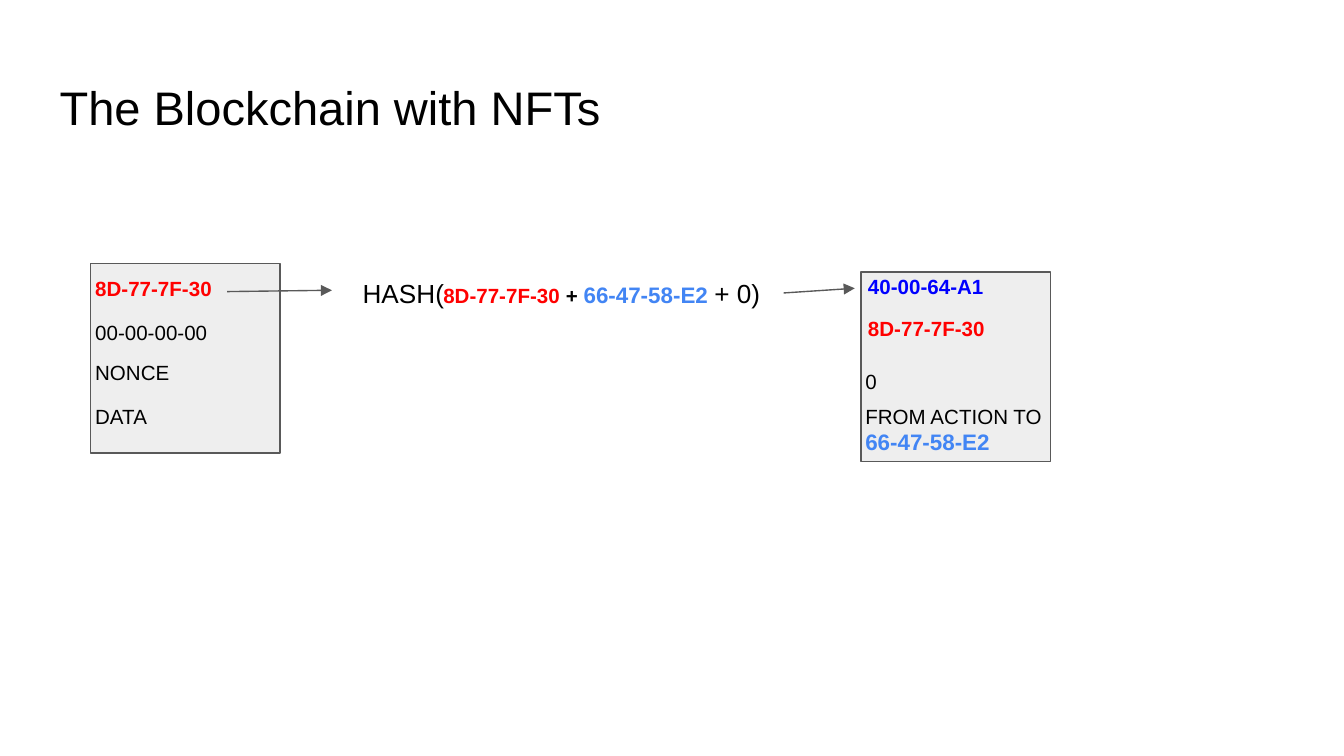
from lxml import etree
from pptx import Presentation
from pptx.dml.color import RGBColor
from pptx.enum.shapes import MSO_CONNECTOR, MSO_SHAPE
from pptx.enum.text import MSO_ANCHOR, MSO_AUTO_SIZE
from pptx.oxml.ns import qn
from pptx.util import Inches, Pt

WIDE, HIGH = 2000, 1125
PX = Inches(10) // WIDE
RECT = MSO_SHAPE.RECTANGLE
STRAIGHT = MSO_CONNECTOR.STRAIGHT
TOP = MSO_ANCHOR.TOP
FIT = MSO_AUTO_SIZE.SHAPE_TO_FIT_TEXT
FONT = "Arial"
BLACK, RED, BLUE, SKY = "000000", "FF0000", "0000FF", "4285F4"
GRAY, EDGE = "EEEEEE", "595959"
SIDE, ROW, FIELD = 282, 78, 334

# A run is (text, size, colour, bold); "\n" is a line break.
PREV = ("8D-77-7F-30", 11, RED, True)


def plain(text, size=11):
    return (text, size, BLACK, False)


def token(text):
    return (text, 12, SKY, True)


TITLE = [plain("The Blockchain with NFTs", 25.2)]

# Each block: left and top of its square, then fields as (left, top, width, height, runs)
BLOCKS = [
    (135, 392, [
        (122, 392, 306, ROW, [PREV]),
        (122, 458, FIELD, ROW, [plain("00-00-00-00")]),
        (122, 517, FIELD, ROW, [plain("NONCE")]),
        (122, 583, FIELD, ROW, [plain("DATA")]),
    ]),
    (1281, 405, [
        (1272, 390, FIELD, ROW, [("40-00-64-A1", 11, BLUE, True)]),
        (1268, 531, FIELD, ROW, [plain("0")]),
        (1268, 581, FIELD, 154, [plain("FROM ACTION TO"), "\n", token("66-47-58-E2")]),
    ]),
]
LABELS = [
    (1272, 452, 656, ROW, [PREV]),
    (640, 393, 526, 88, [PREV, (" + ", 11, BLACK, True), token("66-47-58-E2 "),
                         plain("+ 0)", 14)]),
    (520, 393, 172, 88, [plain("HASH(", 14)]),
]
ARROWS = [(338, 434, 494, 432), (1166, 436, 1272, 429)]


def px(*nums):
    return [n * PX for n in nums]


def color(code):
    return RGBColor.from_string(code)


def add_text(shapes, runs, *, left, top, width, height, inset=20):
    box = shapes.add_textbox(*px(left, top, width, height))
    frame = box.text_frame
    frame.word_wrap = True
    frame.auto_size = FIT
    frame.vertical_anchor = TOP
    frame.margin_left = frame.margin_right = inset * PX
    frame.margin_top = frame.margin_bottom = inset * PX
    para = frame.paragraphs[0]
    for item in runs:
        if item == "\n":
            para.add_line_break()
            continue
        text, size, code, bold = item
        run = para.add_run()
        run.text = text
        run.font.name = FONT
        run.font.size = Pt(size)
        run.font.bold = bold
        run.font.color.rgb = color(code)


def add_fields(shapes, fields):
    for left, top, width, height, runs in fields:
        add_text(shapes, runs, left=left, top=top, width=width, height=height)


def add_block(shapes, left, top, fields):
    group = shapes.add_group_shape().shapes
    square = group.add_shape(RECT, *px(left, top, SIDE, SIDE))
    square.shadow.inherit = False
    square.fill.solid()
    square.fill.fore_color.rgb = color(GRAY)
    square.line.color.rgb = color(EDGE)
    square.line.width = Pt(0.75)
    add_fields(group, fields)


def add_arrow(shapes, ends):
    arrow = shapes.add_connector(STRAIGHT, *px(*ends))
    arrow.line.color.rgb = color(EDGE)
    arrow.line.width = Pt(0.75)
    props = arrow.element.spPr
    etree.SubElement(props.find(qn("a:ln")), qn("a:tailEnd"), type="triangle",
                     w="med", len="med")
    etree.SubElement(props, qn("a:effectLst"))


def main():
    deck = Presentation()
    deck.slide_width, deck.slide_height = px(WIDE, HIGH)
    shapes = deck.slides.add_slide(deck.slide_layouts[6]).shapes
    add_text(shapes, TITLE, left=69, top=97, width=1864, height=126)
    for (left, top, fields), ends in zip(BLOCKS, ARROWS):
        add_block(shapes, left, top, fields)
        add_arrow(shapes, ends)
    add_fields(shapes, LABELS)
    deck.save("out.pptx")


if __name__ == "__main__":
    main()
